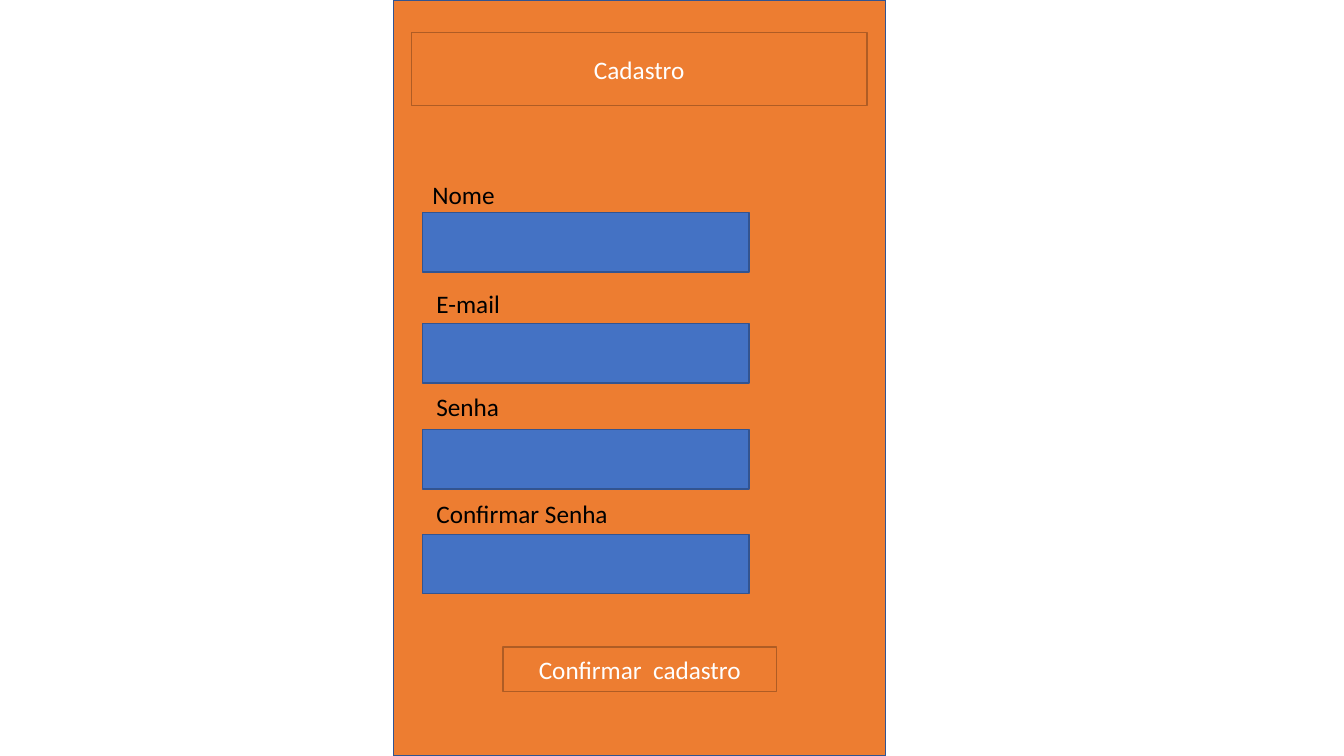
"""Build the sign-up screen mock-up slide."""
from pptx import Presentation
from pptx.dml.color import RGBColor
from pptx.enum.shapes import MSO_SHAPE
from pptx.enum.text import MSO_ANCHOR, MSO_AUTO_SIZE, PP_ALIGN
from pptx.util import Inches, Pt

RECT = MSO_SHAPE.RECTANGLE
MIDDLE = MSO_ANCHOR.MIDDLE
NO_FIT = MSO_AUTO_SIZE.NONE
LEFT, CENTER = PP_ALIGN.LEFT, PP_ALIGN.CENTER

ORANGE = RGBColor(0xED, 0x7D, 0x31)
BROWN = RGBColor(0xAF, 0x5C, 0x24)
BLUE = RGBColor(0x44, 0x72, 0xC4)
NAVY = RGBColor(0x32, 0x54, 0x91)
WHITE = RGBColor(0xFF, 0xFF, 0xFF)
BLACK = RGBColor(0x00, 0x00, 0x00)

FIELD_LEFT, FIELD_WIDTH, FIELD_HEIGHT = 4.19, 3.24, 0.59
LABEL_HEIGHT = 0.4
FIELDS = [
    ("Nome", 4.19, 1.73, 2.68, 2.11),
    ("E-mail", 4.23, 2.81, 2.11, 3.21),
    ("Senha", 4.23, 3.83, 2.32, 4.26),
    ("Confirmar Senha", 4.23, 4.89, 2.64, 5.3),
]


def paint(sp, fill, line):
    """Give a shape a solid fill and a thin outline."""
    sp.fill.solid()
    sp.fill.fore_color.rgb = fill
    sp.line.color.rgb = line
    sp.line.width = Pt(1)


def write(sp, text, color, align):
    """Set and format the single line of text of a shape."""
    tf = sp.text_frame
    tf.text = text
    tf.word_wrap = True
    p = tf.paragraphs[0]
    p.alignment = align
    font = p.runs[0].font
    font.name = "Calibri"
    font.size = Pt(18)
    font.color.rgb = color


def add_box(slide, left, top, width, height, fill, line):
    """Add a flat outlined rectangle."""
    sp = slide.shapes.add_shape(
        RECT, Inches(left), Inches(top), Inches(width), Inches(height))
    sp.shadow.inherit = False
    paint(sp, fill, line)
    return sp


def add_label(slide, text, left, top, width):
    """Add the caption of an input field."""
    sp = slide.shapes.add_textbox(
        Inches(left), Inches(top), Inches(width), Inches(LABEL_HEIGHT))
    write(sp, text, BLACK, LEFT)


def add_button(slide, text, left, top, width, height):
    """Add an orange button with centred text."""
    sp = add_box(slide, left, top, width, height, ORANGE, BROWN)
    write(sp, text, WHITE, CENTER)
    sp.text_frame.vertical_anchor = MIDDLE


def set_title(slide, text, left, top, width, height):
    """Place and format the title placeholder as the screen header."""
    title = slide.shapes.title
    title.left, title.top = Inches(left), Inches(top)
    title.width, title.height = Inches(width), Inches(height)
    paint(title, ORANGE, BROWN)
    write(title, text, WHITE, CENTER)
    title.text_frame.vertical_anchor = MIDDLE
    title.text_frame.auto_size = NO_FIT


def main():
    """Create the slide and save it."""
    prs = Presentation()
    prs.slide_width, prs.slide_height = Inches(13.33), Inches(7.5)
    slide = prs.slides.add_slide(prs.slide_layouts[5])

    screen = add_box(slide, 3.9, 0, 4.88, 7.5, ORANGE, NAVY)
    slide.shapes.title._element.addprevious(screen._element)
    set_title(slide, "Cadastro", 4.08, 0.32, 4.52, 0.73)
    for text, left, top, width, field_top in FIELDS:
        add_box(slide, FIELD_LEFT, field_top, FIELD_WIDTH, FIELD_HEIGHT, BLUE, NAVY)
        add_label(slide, text, left, top, width)
    add_button(slide, "Confirmar  cadastro", 4.99, 6.42, 2.71, 0.44)

    prs.save("out.pptx")


if __name__ == "__main__":
    main()
